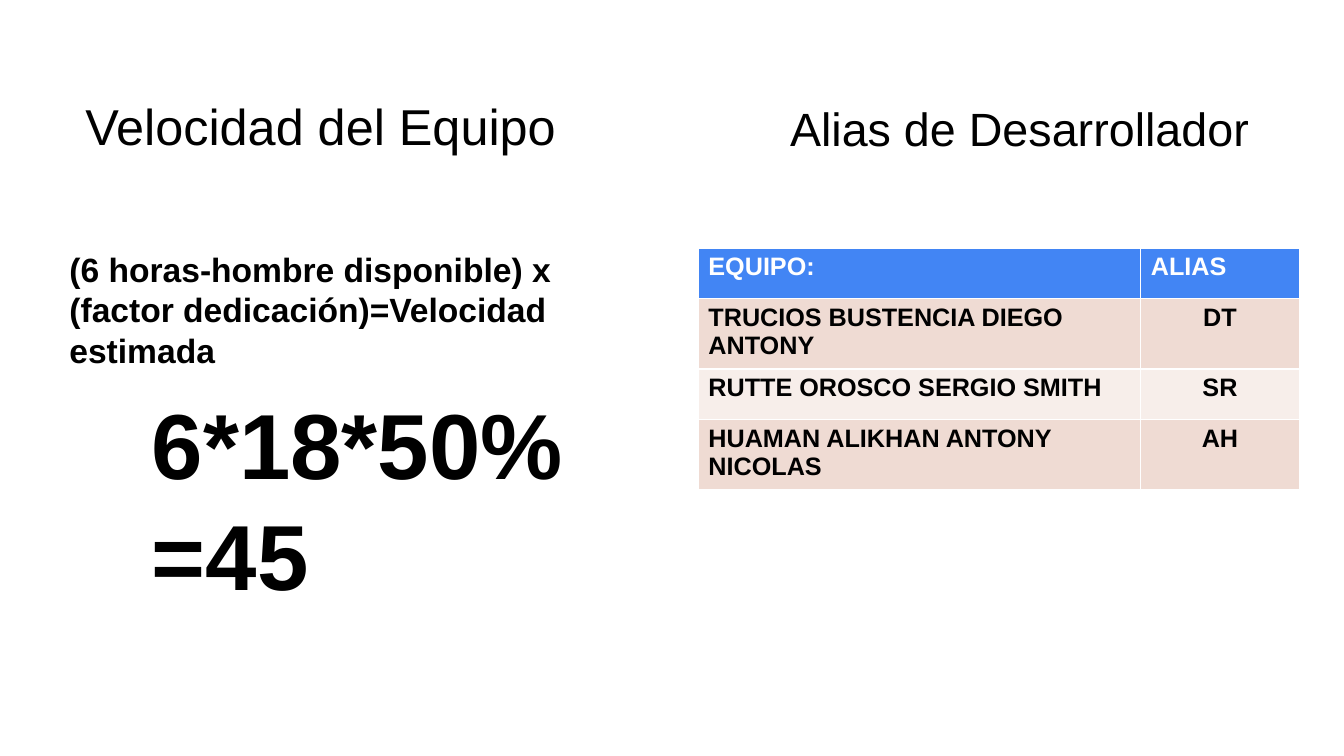
"""Build a slide with the team velocity formula and the table of developer aliases."""
from pptx import Presentation
from pptx.dml.color import RGBColor
from pptx.enum.text import MSO_ANCHOR as Anchor, PP_ALIGN as Align
from pptx.util import Cm, Pt

BLACK = RGBColor(0x00, 0x00, 0x00)
WHITE = RGBColor(0xFF, 0xFF, 0xFF)
BLUE = RGBColor(0x42, 0x85, 0xF4)
ROSE = RGBColor(0xEF, 0xDB, 0xD3)
PALE_ROSE = RGBColor(0xF7, 0xEE, 0xEA)


def style_text(paragraph, size, color, bold):
    for run in paragraph.runs:
        run.font.name = "Arial"
        run.font.size = Pt(size)
        run.font.bold = bold
        run.font.color.rgb = color


def add_text(slide, text, left, top, width, height, size, bold=False):
    text_frame = slide.shapes.add_textbox(Cm(left), Cm(top), Cm(width), Cm(height)).text_frame
    text_frame.word_wrap = True
    text_frame.text = text
    style_text(text_frame.paragraphs[0], size, BLACK, bold)
    return text_frame


presentation = Presentation()
presentation.slide_width = Cm(33.87)
presentation.slide_height = Cm(19.05)
slide = presentation.slides.add_slide(presentation.slide_layouts[6])

for title, left, size in [("Velocidad del Equipo", 1.9, 36), ("Alias de Desarrollador", 19.66, 33.3)]:
    title_frame = add_text(slide, title, left, 1.57, 13.08, 2.49, size)
    title_frame.vertical_anchor = Anchor.BOTTOM
    title_frame.paragraphs[0].line_spacing = 0.9

add_text(slide, "(6 horas-hombre disponible) x (factor dedicación)=Velocidad estimada",
         1.5, 6.15, 13.97, 2.31, 24, bold=True)
calculation_frame = add_text(slide, "6*18*50%=45", 3.58, 9.63, 11.02, 4.11, 66, bold=True)
calculation_frame.paragraphs[0].alignment = Align.JUSTIFY

team = [
    ("EQUIPO:", "ALIAS"),
    ("TRUCIOS BUSTENCIA DIEGO ANTONY", "DT"),
    ("RUTTE OROSCO SERGIO SMITH", "SR"),
    ("HUAMAN ALIKHAN ANTONY NICOLAS", "AH"),
]
column_widths = [11.15, 3.99]
row_height = 1.27
table = slide.shapes.add_table(len(team), len(column_widths), Cm(17.6), Cm(6.25),
                               Cm(sum(column_widths)), Cm(row_height * len(team))).table
for column, width in zip(table.columns, column_widths):
    column.width = Cm(width)

for row_index, member in enumerate(team):
    is_header = row_index == 0
    band_color = ROSE if row_index % 2 else PALE_ROSE
    for column_index, text in enumerate(member):
        cell = table.cell(row_index, column_index)
        cell.fill.solid()
        cell.fill.fore_color.rgb = BLUE if is_header else band_color
        cell.text_frame.text = text
        paragraph = cell.text_frame.paragraphs[0]
        style_text(paragraph, 18, WHITE if is_header else BLACK, True)
        if column_index == 1 and not is_header:
            paragraph.alignment = Align.CENTER

presentation.save("out.pptx")
